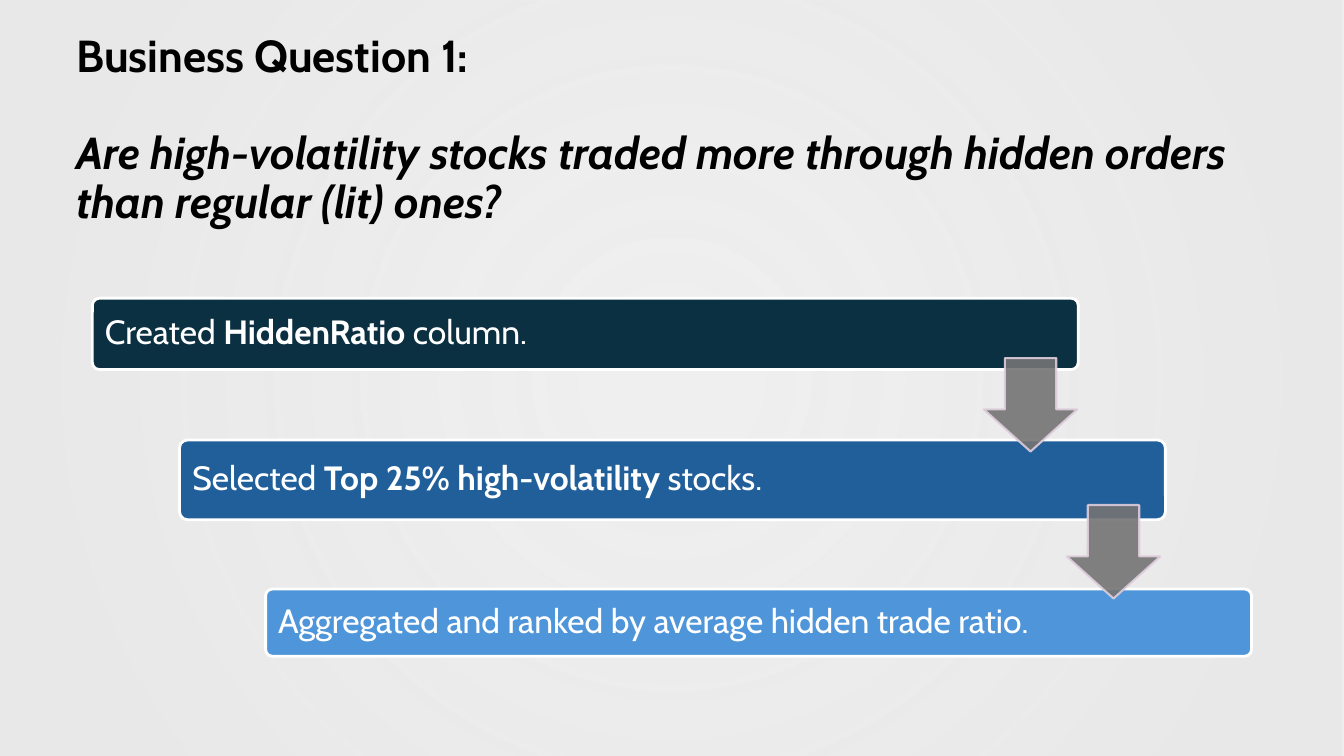
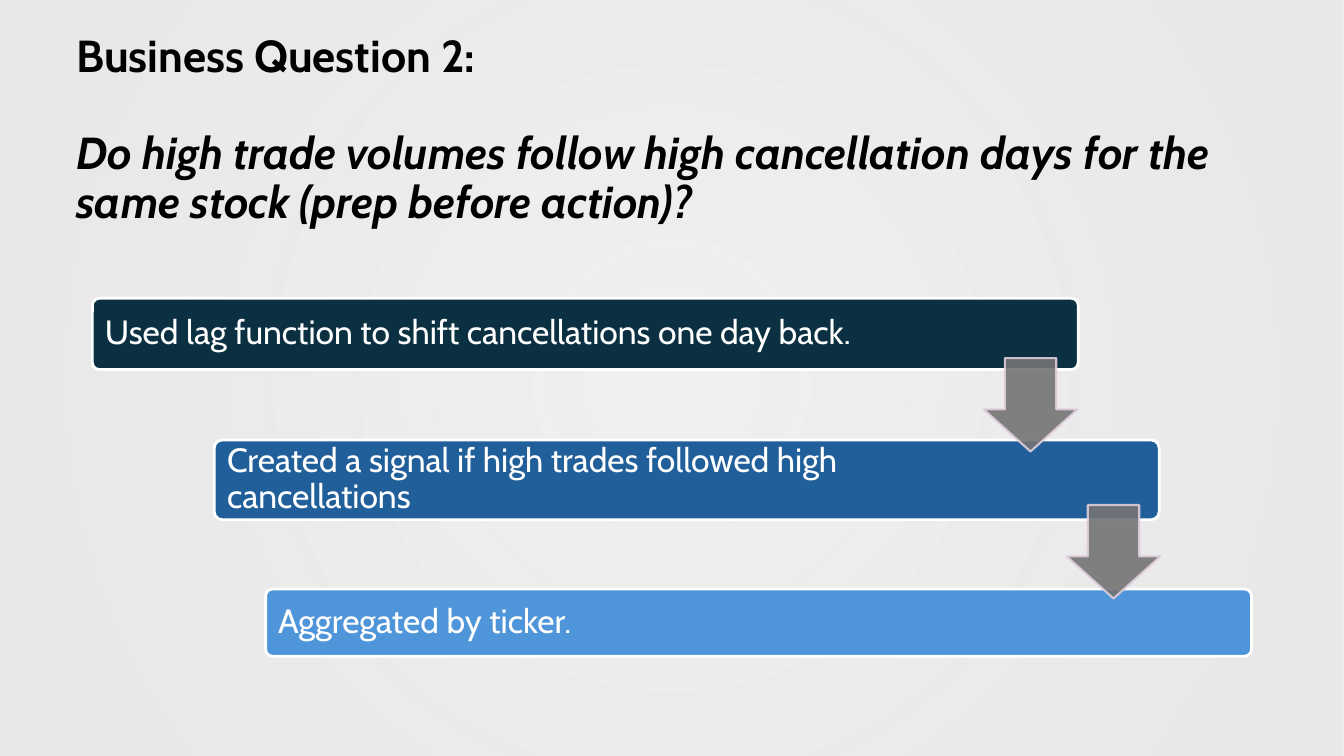
from pptx import Presentation
from pptx.dml.color import RGBColor
from pptx.enum.shapes import MSO_SHAPE as SHAPE
from pptx.enum.text import MSO_ANCHOR as ANCHOR, MSO_AUTO_SIZE as AUTOSIZE, PP_ALIGN as ALIGN
from pptx.oxml import parse_xml
from pptx.oxml.ns import nsdecls, qn
from pptx.util import Emu, Pt

# Content: each bar is (left, width, right inset, text); ** marks bold
QUESTIONS = [
    ("Business Question 1:",
     "Are high-volatility stocks traded more through hidden orders than regular (lit) ones?",
     [(88, 939, 152, "Created **HiddenRatio** column."),
      (171, 939, 183, "Selected **Top 25% high-volatility** stocks."),
      (253, 939, 183, "Aggregated and ranked by average hidden trade ratio.")]),
    ("Business Question 2:",
     "Do high trade volumes follow high cancellation days for the same stock (prep before action)?",
     [(88, 939, 152, "Used lag function to shift cancellations one day back."),
      (204, 900, 171, "Created a signal if high trades followed high cancellations"),
      (253, 939, 183, "Aggregated by ticker.")]),
]
ROWS = [(284, 68, "0B3041"), (419, 76, "215F9A"), (561, 64, "4E95D9")]  # top, height, fill
ARROWS = [(937, 341), (1016, 481)]
WIDTH, HEIGHT = 1280, 720


def px(n):
    return Emu(n * 9525)


def rgb(value):
    return RGBColor.from_string(value)


def apply(target, values):
    for name, value in values.items():
        setattr(target, name, value)


class Deck:
    FONT = "Cabin"
    TITLE = dict(size=Pt(32), bold=True)
    BODY = dict(size=Pt(24))
    PARAGRAPH = dict(alignment=ALIGN.LEFT, line_spacing=0.9)
    FRAME = dict(word_wrap=True, auto_size=AUTOSIZE.NONE, vertical_anchor=ANCHOR.MIDDLE)
    BACKDROP = [(10, "E8E8E8", 68), (85, "E8E8E8", 97)]  # position, colour, opacity
    ARROW_OPACITY = 90

    def __init__(self):
        self.prs = Presentation()
        apply(self.prs, dict(slide_width=px(WIDTH), slide_height=px(HEIGHT)))
        self.s = None

    def slide(self):
        self.s = self.prs.slides.add_slide(self.prs.slide_layouts[5])
        self.backdrop()

    def shape(self, kind, x, y, w, h):
        sp = self.s.shapes.add_shape(kind, px(x), px(y), px(w), px(h))
        sp.shadow.inherit = False
        return sp

    def paint(self, sp, fill, line, width):
        sp.fill.solid()
        sp.fill.fore_color.rgb = rgb(fill)
        sp.line.color.rgb = rgb(line)
        sp.line.width = Pt(width)

    def run(self, p, text, color, **values):
        r = p.add_run()
        r.text = text
        apply(r.font, dict(name=self.FONT, **values))
        r.font.color.rgb = rgb(color)

    def backdrop(self):
        sp = self.shape(SHAPE.RECTANGLE, 0, 0, WIDTH, HEIGHT)
        sp.line.fill.background()
        stops = "".join(
            f'<a:gs pos="{pos * 1000}"><a:srgbClr val="{color}">'
            f'<a:alpha val="{opacity * 1000}"/></a:srgbClr></a:gs>'
            for pos, color, opacity in self.BACKDROP)
        gradient = parse_xml(
            f'<a:gradFill {nsdecls("a")} rotWithShape="1"><a:gsLst>{stops}</a:gsLst>'
            '<a:path path="circle"><a:fillToRect l="50000" t="50000" r="50000" b="50000"/>'
            '</a:path></a:gradFill>')
        sp._element.spPr.find(qn("a:prstGeom")).addnext(gradient)
        # Send behind the title
        self.s.shapes._spTree.insert(2, sp._element)

    def title(self, heading, question):
        sp = self.s.shapes.title
        apply(sp, dict(left=px(63), top=px(38), width=px(1176), height=px(173)))
        tf = sp.text_frame
        apply(tf, self.FRAME)
        first, second = tf.paragraphs[0], tf.add_paragraph()
        for p, text, italic in ((first, heading, False), (second, question, True)):
            apply(p, self.PARAGRAPH)
            self.run(p, text, "000000", italic=italic, **self.TITLE)
        second.space_before = Pt(35)

    def bar(self, x, y, w, h, fill, inset, text):
        sp = self.shape(SHAPE.ROUNDED_RECTANGLE, x, y, w, h)
        sp.adjustments[0] = 0.1
        self.paint(sp, fill, "FFFFFF", 2)
        tf = sp.text_frame
        apply(tf, self.FRAME)
        apply(tf, dict(margin_left=px(10), margin_top=px(10),
                       margin_right=px(inset), margin_bottom=px(10)))
        p = tf.paragraphs[0]
        apply(p, self.PARAGRAPH)
        for i, part in enumerate(text.split("**")):
            self.run(p, part, "FFFFFF", bold=i % 2 == 1, **self.BODY)

    def arrow(self, x, y):
        sp = self.shape(SHAPE.DOWN_ARROW, x, y, 89, 89)
        sp.adjustments[0], sp.adjustments[1] = 0.55, 0.45
        self.paint(sp, "747474", "DFCDDC", 1.5)
        for color in sp._element.spPr.iter(qn("a:srgbClr")):
            color.append(parse_xml(
                f'<a:alpha {nsdecls("a")} val="{self.ARROW_OPACITY * 1000}"/>'))


def main():
    deck = Deck()
    for heading, question, steps in QUESTIONS:
        deck.slide()
        deck.title(heading, question)
        for (x, w, inset, text), (y, h, fill) in zip(steps, ROWS):
            deck.bar(x, y, w, h, fill, inset, text)
        for x, y in ARROWS:
            deck.arrow(x, y)
    deck.prs.save("out.pptx")


if __name__ == "__main__":
    main()
